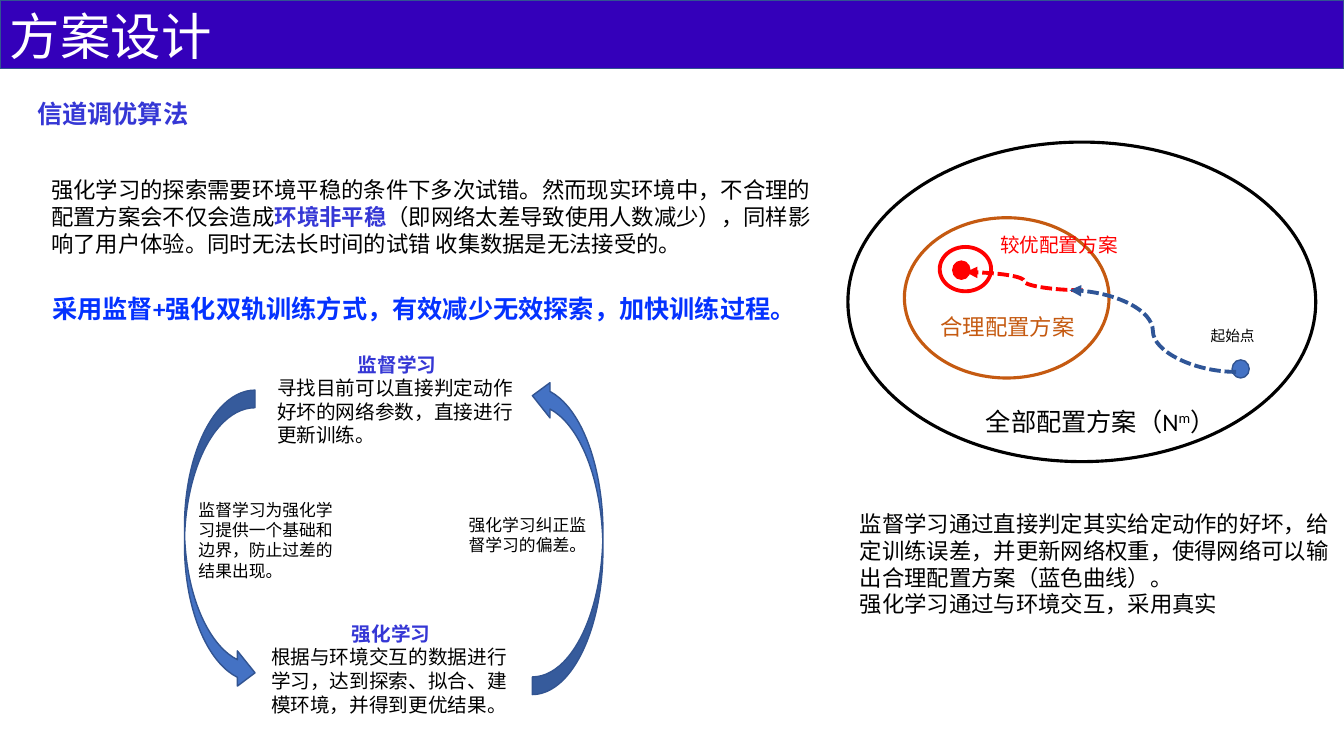
from lxml.etree import SubElement
from pptx import Presentation
from pptx.dml.color import RGBColor
from pptx.enum.dml import MSO_LINE
from pptx.enum.shapes import MSO_CONNECTOR, MSO_SHAPE
from pptx.enum.text import MSO_AUTO_SIZE, PP_ALIGN
from pptx.oxml.ns import qn
from pptx.util import Inches, Pt

BLACK = RGBColor(0x00, 0x00, 0x00)
WHITE = RGBColor(0xFF, 0xFF, 0xFF)
BANNER = RGBColor(0x34, 0x00, 0xBA)
VIOLET = RGBColor(0x35, 0x37, 0xD5)
BRIGHT_BLUE = RGBColor(0x04, 0x32, 0xFF)
BLUE = RGBColor(0x44, 0x72, 0xC4)
OUTLINE = RGBColor(0x32, 0x54, 0x91)
DARK_BLUE = RGBColor(0x2F, 0x55, 0x97)
ORANGE = RGBColor(0xC5, 0x5A, 0x11)
RED = RGBColor(0xFF, 0x00, 0x00)

deck = Presentation()
deck.slide_width, deck.slide_height = Inches(13.33), Inches(7.5)
page = deck.slides.add_slide(deck.slide_layouts[6])


def add_figure(kind, at, fill, line, weight=1):
    figure = page.shapes.add_shape(kind, *map(Inches, at))
    figure.shadow.inherit = False
    if fill is None:
        figure.fill.background()
    else:
        figure.fill.solid()
        figure.fill.fore_color.rgb = fill
    figure.line.color.rgb = line
    figure.line.width = Pt(weight)
    return figure


def add_text(at, size, color, *lines, bold=False, wrap=True):
    """Each line is a list of runs; returns the paragraphs."""
    frame = page.shapes.add_textbox(*map(Inches, at)).text_frame
    frame.word_wrap = wrap
    frame.auto_size = MSO_AUTO_SIZE.SHAPE_TO_FIT_TEXT
    for number, runs in enumerate(lines):
        para = frame.add_paragraph() if number else frame.paragraphs[0]
        for words in runs:
            para.add_run().text = words
        para.font.name = "Calibri"
        para.font.size = Pt(size)
        para.font.bold = bold
        para.font.color.rgb = color
    return frame.paragraphs


# Banner and headings
add_figure(MSO_SHAPE.RECTANGLE, (0, 0, 13.33, 0.68), BANNER, OUTLINE)
add_text((0, 0, 5.91, 0.71), 36, WHITE, ["方案设计"])
add_text((0.27, 0.93, 2.45, 0.4), 18, VIOLET, ["信道调优算法"], bold=True)

# Problem statement and approach
problem = add_text((0.41, 1.7, 7.88, 0.91), 16, BLACK, [
    "强化学习的探索需要环境平稳的条件下多次试错。然而现实环境中，不合理的配置方案会不仅会造成",
    "环境非平稳",
    "（即网络太差导致使用人数减少），同样影响了用户体验。同时无法长时间的试错 收集数据是无法接受的。"])
emphasis = problem[0].runs[1].font
emphasis.bold = True
emphasis.color.rgb = VIOLET
add_text((0.42, 2.86, 7.85, 0.4), 18, BRIGHT_BLUE,
         ["采用监督+强化双轨训练方式，有效减少无效探索，加快训练过程。"], bold=True)

# Nested configuration sets
add_figure(MSO_SHAPE.OVAL, (8.41, 1.41, 4.64, 3.17), None, BLACK, 2.25)
add_figure(MSO_SHAPE.OVAL, (8.97, 2.16, 2.03, 1.59), None, ORANGE, 2.25)
all_plans = add_text((9.68, 3.98, 2.97, 0.5), 18, BLACK,
                     ["全部配置方案（N", "m", "）"], wrap=False)
all_plans[0].runs[1]._r.get_or_add_rPr().set("baseline", "30000")
add_text((9.23, 3.06, 1.56, 0.37), 16, ORANGE, ["合理配置方案"])
add_figure(MSO_SHAPE.OVAL, (9.32, 2.45, 0.51, 0.44), None, RED, 2.75)
add_text((9.82, 2.26, 1.69, 0.34), 14, RED, ["较优配置方案"])
add_text((11.91, 3.19, 0.78, 0.35), 10.5, BLACK, ["起始点"], wrap=False)
add_figure(MSO_SHAPE.OVAL, (12.22, 3.57, 0.17, 0.18), BLUE, OUTLINE)

# Search path from the starting point to the better plan
for ends, color in [((10.74, 2.88, 9.58, 2.7), RED),
                    ((12.26, 3.69, 10.61, 2.88), DARK_BLUE)]:
    route = page.shapes.add_connector(MSO_CONNECTOR.CURVE, *map(Inches, ends))
    route.line.color.rgb = color
    route.line.width = Pt(2.75)
    route.line.dash_style = MSO_LINE.SQUARE_DOT
    SubElement(route.line._get_or_add_ln(), qn("a:tailEnd"), type="triangle")
    SubElement(route._element.spPr, qn("a:effectLst"))
add_figure(MSO_SHAPE.OVAL, (9.45, 2.59, 0.17, 0.18), RED, RED)

# Training cycle
for at, heading, detail in [
        ((2.59, 6.12, 2.58, 1.04), "强化学习",
         "根据与环境交互的数据进行学习，达到探索、拟合、建模环境，并得到更优结果。"),
        ((2.65, 3.45, 2.58, 1.04), "监督学习",
         "寻找目前可以直接判定动作好坏的网络参数，直接进行更新训练。")]:
    title = add_text(at, 14, BLACK, [heading], [detail])[0]
    title.alignment = PP_ALIGN.CENTER
    title.font.bold = True
    title.font.color.rgb = VIOLET
for at, turn in [((1.83, 3.87, 0.7, 2.98), 0), ((5.28, 3.75, 0.7, 3.14), 180)]:
    arrow = add_figure(MSO_SHAPE.CURVED_RIGHT_ARROW, at, BLUE, OUTLINE)
    arrow.rotation = turn
add_text((1.87, 4.91, 1.55, 0.91), 12, BLACK,
         ["监督学习为强化学习提供一个基础和边界，防止过差的结果出现。"])
add_text((4.55, 5.06, 1.43, 0.5), 12, BLACK, ["强化学习纠正监督学习的偏差。"])

# Explanation
add_text((8.43, 5.01, 4.9, 1.45), 16, BLACK,
         ["监督学习通过直接判定其实给定动作的好坏，给定训练误差，并更新网络权重，使得网络可以输出合理配置方案（蓝色曲线）。"],
         ["强化学习通过与环境交互，采用真实"])

deck.save("out.pptx")
